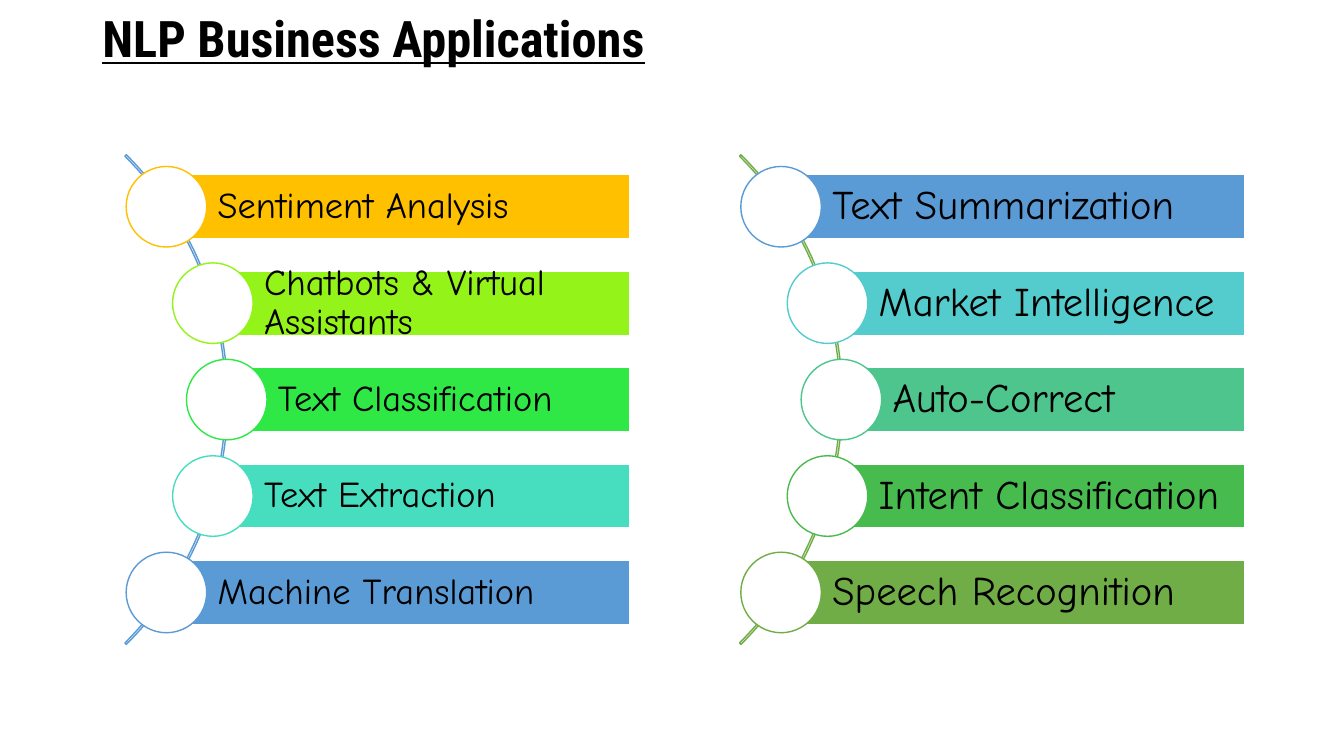
from pptx import Presentation
from pptx.dml.color import RGBColor
from pptx.enum.shapes import MSO_SHAPE
from pptx.enum.text import MSO_ANCHOR, PP_ALIGN
from pptx.util import Cm, Pt

WHITE = RGBColor(0xFF, 0xFF, 0xFF)
BLACK = RGBColor(0x00, 0x00, 0x00)
AMBER = RGBColor(0xFF, 0xC0, 0x00)
LIME = RGBColor(0x94, 0xF3, 0x19)
GREEN = RGBColor(0x30, 0xE8, 0x45)
AQUA = RGBColor(0x46, 0xDE, 0xBF)
BLUE = RGBColor(0x5B, 0x9B, 0xD5)
TEAL = RGBColor(0x54, 0xCC, 0xCD)
JADE = RGBColor(0x4D, 0xC5, 0x8D)
LEAF = RGBColor(0x48, 0xBB, 0x4F)
OLIVE = RGBColor(0x70, 0xAD, 0x47)

PITCH = 2.43
BAR = 1.62
DISC = 2.03
ARC = 17.45
SHIFTS = [0, 1.17, 1.52, 1.17, 0]

LEFT = [
    ("Sentiment Analysis", AMBER),
    ("Chatbots & Virtual Assistants", LIME),
    ("Text Classification", GREEN),
    ("Text Extraction", AQUA),
    ("Machine Translation", BLUE),
]
RIGHT = [
    ("Text Summarization", BLUE),
    ("Market Intelligence", TEAL),
    ("Auto-Correct", JADE),
    ("Intent Classification", LEAF),
    ("Speech Recognition", OLIVE),
]


def add_shape(group, kind, box, fill, line):
    shape = group.shapes.add_shape(kind, *map(Cm, box))
    shape.shadow.inherit = False
    if fill is None:
        shape.fill.background()
    else:
        shape.fill.solid()
        shape.fill.fore_color.rgb = fill
    shape.line.color.rgb = line
    shape.line.width = Pt(1)
    return shape


def set_text(shape, text, face, size):
    frame = shape.text_frame
    frame.text = text
    frame.word_wrap = True
    frame.vertical_anchor = MSO_ANCHOR.MIDDLE
    line = frame.paragraphs[0]
    line.alignment = PP_ALIGN.LEFT
    line.line_spacing = 0.9
    font = line.runs[0].font
    font.name = face
    font.size = Pt(size)
    font.color.rgb = BLACK
    return font


def add_title(slide, box):
    title = slide.shapes.add_textbox(*map(Cm, box))
    font = set_text(title, "NLP Business Applications", "Roboto Condensed", 36)
    font.bold = True
    font.underline = True


def add_list(slide, box, items, tint, size, pad):
    left, top, width, height = box
    mid = top + height / 2
    group = slide.shapes.add_group_shape()

    arc_box = (left - 14.89, mid - ARC / 2, ARC, ARC)
    arc = add_shape(group, MSO_SHAPE.BLOCK_ARC, arc_box, None, tint)
    for i, value in enumerate([189, 27, 0.003]):
        arc.adjustments[i] = value

    for i, ((text, color), shift) in enumerate(zip(items, SHIFTS)):
        y = mid + (i - 2) * PITCH
        x = left + shift
        start = x + DISC / 2
        bar_box = (start, y - BAR / 2, left + width - start, BAR)
        bar = add_shape(group, MSO_SHAPE.RECTANGLE, bar_box, color, WHITE)
        set_text(bar, text, "Comic Neue", size)
        frame = bar.text_frame
        frame.margin_left = Cm(1.29)
        frame.margin_right = frame.margin_top = frame.margin_bottom = Cm(pad)
        disc_box = (x, y - DISC / 2, DISC, DISC)
        add_shape(group, MSO_SHAPE.OVAL, disc_box, WHITE, color)


def main():
    deck = Presentation()
    deck.slide_width = Cm(33.87)
    deck.slide_height = Cm(19.05)
    slide = deck.slides.add_slide(deck.slide_layouts[6])
    add_title(slide, (2.33, 0.3, 29.21, 1.5))
    add_list(slide, (3.18, 3.9, 12.7, 12.34), LEFT, BLUE, 26, 0.18)
    add_list(slide, (18.67, 3.9, 12.7, 12.34), RIGHT, OLIVE, 29, 0.2)
    deck.save("out.pptx")


if __name__ == "__main__":
    main()
